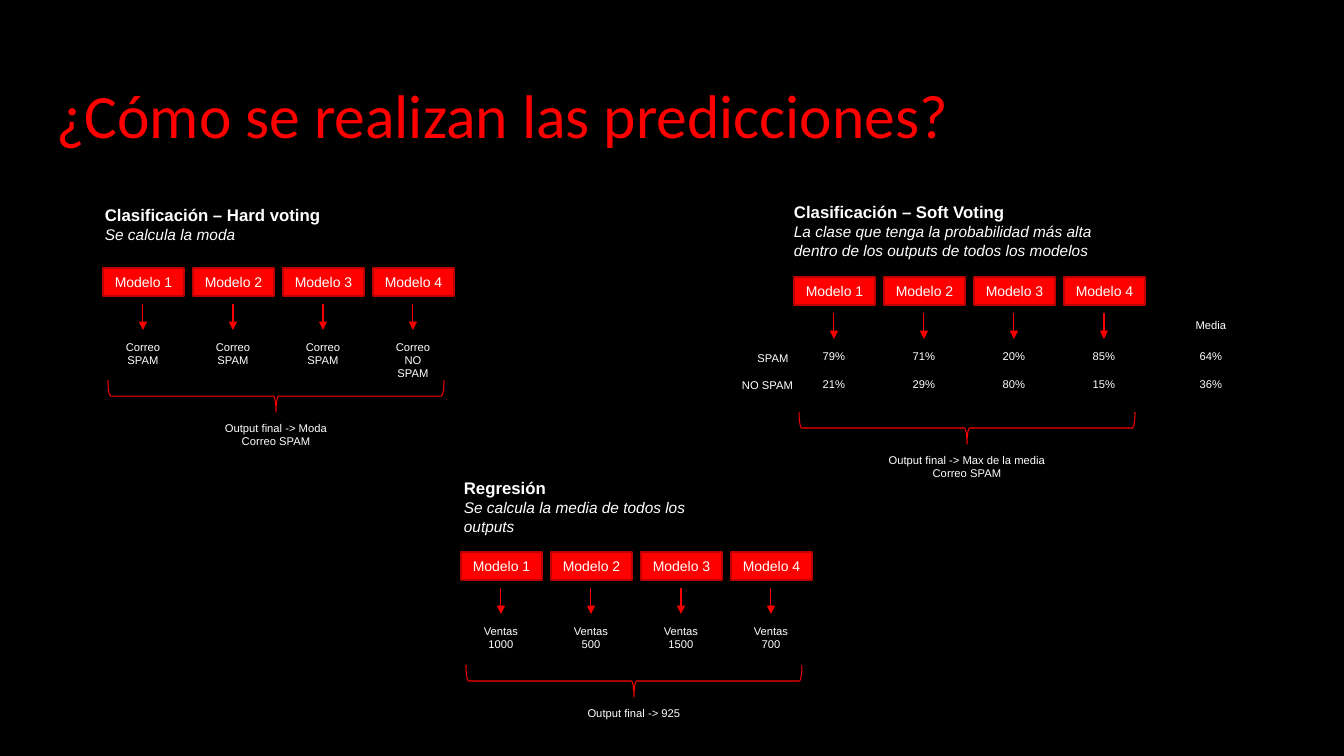
from lxml.etree import SubElement
from pptx import Presentation
from pptx.dml.color import RGBColor
from pptx.enum.shapes import MSO_CONNECTOR, MSO_SHAPE
from pptx.enum.text import MSO_ANCHOR, MSO_AUTO_SIZE, PP_ALIGN
from pptx.oxml.ns import qn
from pptx.util import Pt

PX = 914400 / 100.8
BLACK = RGBColor(0x00, 0x00, 0x00)
WHITE = RGBColor(0xFF, 0xFF, 0xFF)
RED = RGBColor(0xFF, 0x00, 0x00)
DARK_RED = RGBColor(0xBD, 0x00, 0x00)
LINE_RED = RGBColor(0xF9, 0x00, 0x00)

MODEL_PITCH, MODEL_WIDTH, MODEL_HEIGHT = 90, 81, 28
RESULT_WIDTH = 62
BRACE_WIDTH, BRACE_HEIGHT = 336, 32


def px(*lengths):
    return [round(length * PX) for length in lengths]


def add_text(left, top, width, height, lines, size=8, align=PP_ALIGN.CENTER):
    box = slide.shapes.add_textbox(*px(left, top, width, height))
    frame = box.text_frame
    frame.word_wrap = True
    frame.auto_size = MSO_AUTO_SIZE.SHAPE_TO_FIT_TEXT
    frame.text = "\n".join(lines)
    for para in frame.paragraphs:
        para.alignment = align
        para.font.name = "Arial"
        para.font.size = Pt(size)
        para.font.color.rgb = WHITE
    return frame.paragraphs


# Page
deck = Presentation()
deck.slide_width, deck.slide_height = px(1344, 756)
slide = deck.slides.add_slide(deck.slide_layouts[5])
slide.background.fill.solid()
slide.background.fill.fore_color.rgb = BLACK

# Title
title = slide.shapes.title
title.left, title.top, title.width, title.height = px(46, 59, 976, 119)
title.text_frame.text = "¿Cómo se realizan las predicciones?"
title.text_frame.auto_size = MSO_AUTO_SIZE.NONE
title.text_frame.vertical_anchor = MSO_ANCHOR.MIDDLE
title_para = title.text_frame.paragraphs[0]
title_para.alignment = PP_ALIGN.LEFT
title_para.line_spacing = 0.9
title_para.font.name = "Calibri"
title_para.font.size = Pt(44)
title_para.font.color.rgb = RED

# Each panel: models' corner, heading box, heading lines, rows of results,
# offset of the brace's centre, final output
panels = [
    (103, 268, (95, 200, 295, 49),
     ["Clasificación – Hard voting", "Se calcula la moda"],
     [["Correo SPAM", "Correo SPAM", "Correo SPAM", "Correo NO SPAM"]],
     128, ["Output final -> Moda", "Correo SPAM"]),
    (794, 277, (784, 197, 336, 68),
     ["Clasificación – Soft Voting",
      "La clase que tenga la probabilidad más alta dentro de los outputs de todos los modelos"],
     [["79%", "71%", "20%", "85%"], ["21%", "29%", "80%", "15%"]],
     151, ["Output final -> Max de la media", "Correo SPAM"]),
    (461, 552, (454, 473, 295, 68),
     ["Regresión", "Se calcula la media de todos los outputs"],
     [["Ventas\n1000", "Ventas\n500", "Ventas\n1500", "Ventas\n700"]],
     129, ["Output final -> 925"]),
]

for left, top, heading_box, heading, rows, brace_offset, output in panels:
    # Heading
    name_para, rule_para = add_text(*heading_box, heading, 12, PP_ALIGN.LEFT)
    name_para.font.bold = True
    rule_para.font.italic = True
    rule_para.font.size = Pt(11)

    for column in range(4):
        # Model
        model_left = left + column * MODEL_PITCH
        model = slide.shapes.add_shape(
            MSO_SHAPE.RECTANGLE, *px(model_left, top, MODEL_WIDTH, MODEL_HEIGHT))
        model.shadow.inherit = False
        model.fill.solid()
        model.fill.fore_color.rgb = RED
        model.line.color.rgb = DARK_RED
        model.line.width = Pt(2)
        model.text_frame.text = f"Modelo {column + 1}"
        model.text_frame.vertical_anchor = MSO_ANCHOR.MIDDLE
        para = model.text_frame.paragraphs[0]
        para.alignment = PP_ALIGN.CENTER
        para.font.name = "Arial"
        para.font.size = Pt(10)
        para.font.color.rgb = WHITE

        # Arrow
        arrow_x = model_left + 40
        arrow = slide.shapes.add_connector(
            MSO_CONNECTOR.STRAIGHT, *px(arrow_x, top + 36, arrow_x, top + 62))
        arrow.line.color.rgb = LINE_RED
        arrow.line.width = Pt(0.75)
        SubElement(arrow.line._get_or_add_ln(), qn("a:tailEnd"), type="triangle")
        SubElement(arrow._element.spPr, qn("a:effectLst"))

        # Results
        for row, results in enumerate(rows):
            add_text(model_left + 9, top + 67 + row * 28, RESULT_WIDTH, 24,
                     results[column].split("\n"))

    # Brace, turned so that its point is at the bottom
    brace_x, brace_y = left + 173, top + brace_offset
    brace = slide.shapes.add_shape(
        MSO_SHAPE.LEFT_BRACE,
        *px(brace_x - BRACE_HEIGHT / 2, brace_y - BRACE_WIDTH / 2, BRACE_HEIGHT, BRACE_WIDTH))
    brace.rotation = 270
    brace.shadow.inherit = False
    brace.fill.background()
    brace.line.color.rgb = LINE_RED
    brace.line.width = Pt(0.75)

    # Final output
    add_text(brace_x - 91, brace_y + 20, 182, 24, output)

# Soft voting: class labels and mean column
for label_left, label_top, label_width, label in [
    (742, 346, RESULT_WIDTH, "SPAM"),
    (731, 373, 73, "NO SPAM"),
    (1180, 313, RESULT_WIDTH, "Media"),
    (1180, 344, RESULT_WIDTH, "64%"),
    (1180, 372, RESULT_WIDTH, "36%"),
]:
    add_text(label_left, label_top, label_width, 24, [label])

deck.save("out.pptx")
